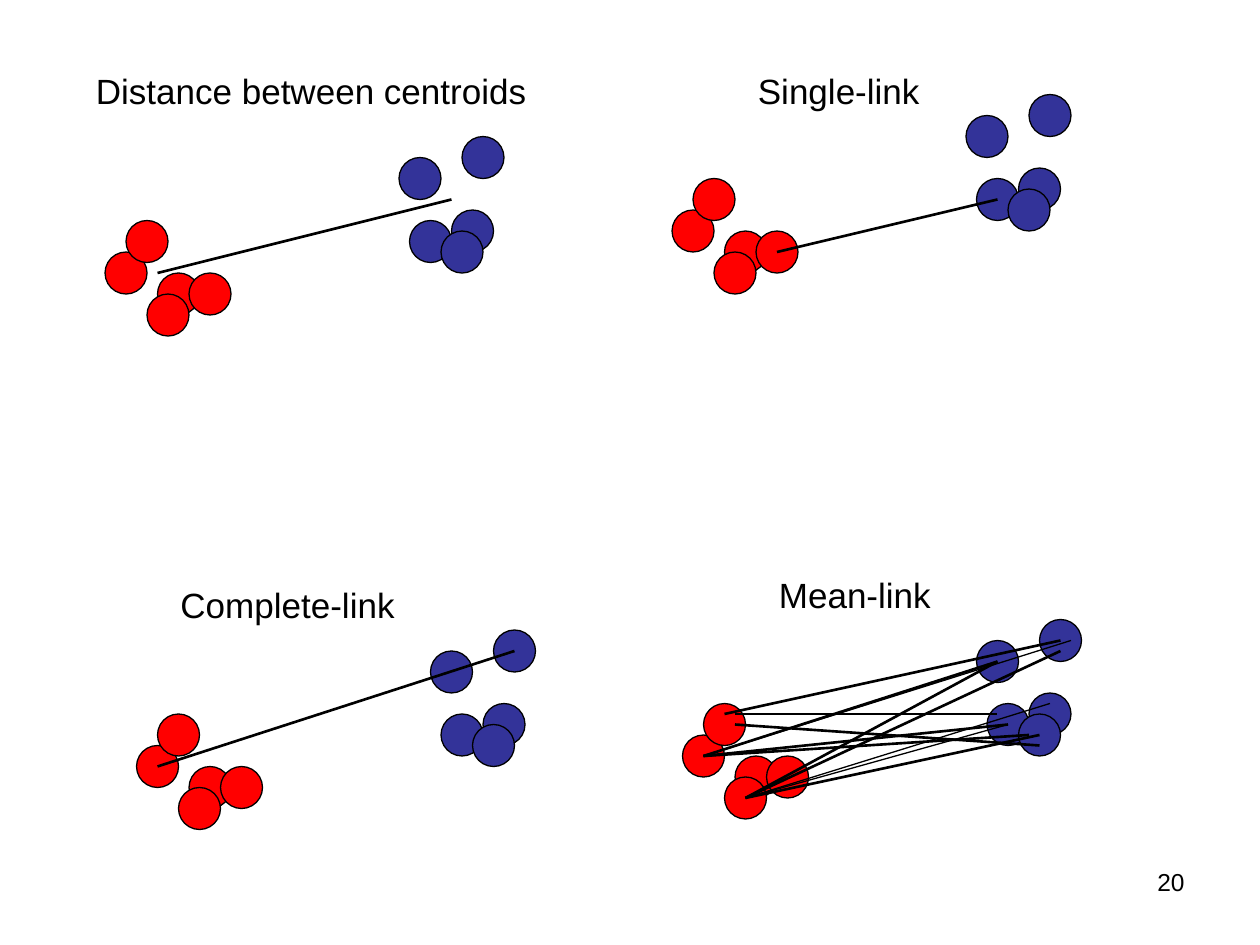
import pptx
import pptx.dml.color
import pptx.enum.shapes
import pptx.enum.text
import pptx.oxml
import pptx.util

Pt = pptx.util.Pt
COLORS = {"blue": "333399", "red": "FF0000", "black": "000000"}
FONT = "Arial"
GRID = 6  # points per grid step
DOT = 24  # dot diameter in points
THIN, THICK = 0.75, 1.5

# Dot corners in grid steps from the panel's corner
CLUSTERS = {
    "blue": [(29, 8), (33, 7), (28, 2), (34, 0), (32, 9)],
    "red": [(0, 11), (5, 13), (2, 8), (8, 13), (4, 15)],
}

# Links in grid steps from the panel's corner: start, end, width
MEAN_LINKS = [
    ((6, 17), (30, 4), THICK),
    ((6, 17), (36, 3), THICK),
    ((6, 17), (31, 10), THIN),
    ((6, 17), (34, 11), THICK),
    ((6, 17), (35, 8), THIN),
    ((2, 13), (33, 11), THICK),
    ((2, 13), (31, 10), THICK),
    ((2, 13), (37, 2), THIN),
    ((30, 4), (2, 13), THICK),
    ((34, 12), (5, 10), THICK),
    ((5, 9), (30, 9), THICK),
    ((4, 9), (36, 2), THICK),
]

# Title, panel corner, title box offset and width (points), links
PANELS = [
    ("Mean-link", (390, 354), (48, -30, 102), MEAN_LINKS),
    ("Complete-link", (78, 360), (18, -30, 137), [((2, 13), (36, 2), THICK)]),
    ("Distance between centroids", (60, 78), (-12.3, -42, 261),
     [((5, 13), (33, 6), THICK)]),
    ("Single-link", (384, 54), (42, -18, 107), [((10, 15), (31, 10), THICK)]),
]


def rgb(name):
    return pptx.dml.color.RGBColor.from_string(COLORS[name])


def add_text(slide, text, box, size, wrap=False, align=None):
    text_box = slide.shapes.add_textbox(*map(Pt, box))
    frame = text_box.text_frame
    frame.text = text
    frame.word_wrap = wrap
    if not wrap:
        frame.auto_size = pptx.enum.text.MSO_AUTO_SIZE.SHAPE_TO_FIT_TEXT
    paragraph = frame.paragraphs[0]
    paragraph.alignment = align
    font = paragraph.runs[0].font
    font.name, font.size = FONT, Pt(size)
    font.color.rgb = rgb("black")


def add_clusters(slide, left, top):
    group = slide.shapes.add_group_shape()
    for color, corners in CLUSTERS.items():
        for x, y in corners:
            dot = group.shapes.add_shape(
                pptx.enum.shapes.MSO_SHAPE.OVAL,
                Pt(left + x * GRID), Pt(top + y * GRID), Pt(DOT), Pt(DOT))
            dot.shadow.inherit = False
            dot.fill.solid()
            dot.fill.fore_color.rgb = rgb(color)
            dot.line.color.rgb = rgb("black")
            dot.line.width = Pt(THIN)


def add_link(slide, left, top, start, end, width):
    ends = [Pt(corner + step * GRID)
            for point in (start, end)
            for corner, step in zip((left, top), point)]
    link = slide.shapes.add_connector(
        pptx.enum.shapes.MSO_CONNECTOR.STRAIGHT, *ends)
    link.line.color.rgb = rgb("black")
    link.line.width = Pt(width)
    link._element.spPr.append(pptx.oxml.parse_xml(
        '<a:effectLst xmlns:a='
        '"http://schemas.openxmlformats.org/drawingml/2006/main"/>'))


def add_panel(slide, title, corner, title_place, links):
    left, top = corner
    add_clusters(slide, left, top)
    for start, end, width in links:
        add_link(slide, left, top, start, end, width)
    dx, dy, title_width = title_place
    add_text(slide, title, (left + dx, top + dy, title_width, 32), 20)


def main():
    deck = pptx.Presentation()
    deck.slide_width, deck.slide_height = Pt(720), Pt(540)
    slide = deck.slides.add_slide(deck.slide_layouts[6])

    # Slide number
    add_text(slide, "20", (516, 492, 168, 37), 14, wrap=True,
             align=pptx.enum.text.PP_ALIGN.RIGHT)

    # One panel for each cluster distance
    for panel in PANELS:
        add_panel(slide, *panel)

    deck.save("out.pptx")


if __name__ == "__main__":
    main()
